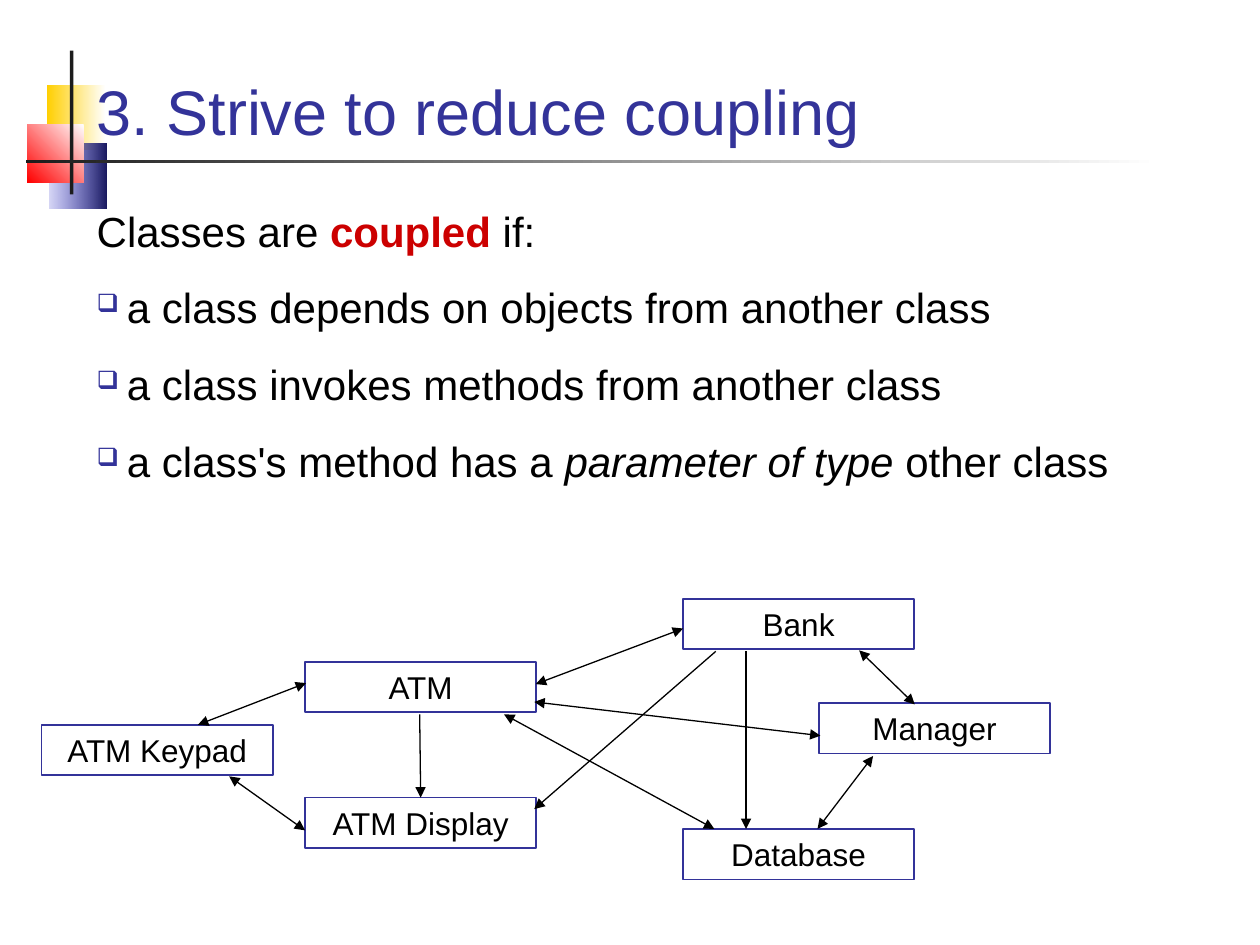
from lxml import etree
from pptx import Presentation
from pptx import util as u
from pptx.dml.color import RGBColor
from pptx.enum import shapes, text
from pptx.oxml.ns import qn

COLORS = {
    "indigo": "333399", "black": "000000", "accent": "CC0000",
    "white": "FFFFFF", "yellow": "FFCF01", "red": "FF0000",
    "navy": "17175E", "blue": "3333CC", "charcoal": "1C1C1C",
}
FONT = "Arial"


def rgb(name):
    return RGBColor.from_string(COLORS[name])


def add_run(paragraph, words, size, color="black", bold=False, italic=False):
    run = paragraph.add_run()
    run.text = words
    run.font.name, run.font.size = FONT, u.Pt(size)
    run.font.bold, run.font.italic = bold, italic
    run.font.color.rgb = rgb(color)


presentation = Presentation()
presentation.slide_width, presentation.slide_height = u.Cm(25.4), u.Cm(19.05)
slide = presentation.slides.add_slide(presentation.slide_layouts[6])

# Corner ornament: left, top, width, height, start colour, end colour, angle
ornament = [
    (0.95, 1.71, 1.18, 1.32, "white", "yellow", 180),
    (0.99, 2.89, 1.16, 1.32, "navy", "blue", 180),
    (0.55, 2.51, 1.14, 1.17, "white", "red", 225),
    (1.41, 1.02, 0.07, 2.9, "charcoal", "charcoal", None),
    (0.53, 3.22, 22.83, 0.07, "white", "charcoal", 180),
]
for left, top, width, height, start, end, angle in ornament:
    shape = slide.shapes.add_shape(
        shapes.MSO_SHAPE.RECTANGLE, u.Cm(left), u.Cm(top), u.Cm(width), u.Cm(height))
    shape.shadow.inherit = False
    shape.line.fill.background()
    if angle is None:
        shape.fill.solid()
        shape.fill.fore_color.rgb = rgb(start)
        continue
    shape.fill.gradient()
    shape.fill.gradient_angle = angle
    for stop, position, color in zip(shape.fill.gradient_stops, (0, 1), (start, end)):
        stop.position = position
        stop.color.rgb = rgb(color)
    if end == "blue":
        end_color = list(shape._element.spPr.iter(qn("a:srgbClr")))[-1]
        etree.SubElement(end_color, qn("a:alpha"), val="20000")

# Title
title = slide.shapes.add_textbox(u.Cm(1.7), u.Cm(0.71), u.Cm(22), u.Cm(2.41))
title.text_frame.word_wrap = True
title.text_frame.vertical_anchor = text.MSO_ANCHOR.BOTTOM
add_run(title.text_frame.paragraphs[0], "3. Strive to reduce coupling", 36, "indigo")

# Body: each paragraph is a list of (words, run options)
body_paragraphs = [
    [("Classes are ", {}), ("coupled", {"color": "accent", "bold": True}), (" if:", {})],
    [("a class depends on objects from another class", {})],
    [("a class invokes methods from another class", {})],
    [("a class's method has a ", {}), ("parameter of type", {"italic": True}),
     (" other class", {})],
]
body = slide.shapes.add_textbox(u.Cm(1.7), u.Cm(4.01), u.Cm(22), u.Cm(8.05))
body.text_frame.word_wrap = True
for index, runs in enumerate(body_paragraphs):
    paragraph = body.text_frame.paragraphs[0] if index == 0 else body.text_frame.add_paragraph()
    if index > 0:
        paragraph.space_before = u.Pt(15)
        properties = paragraph._p.get_or_add_pPr()
        properties.set("marL", str(u.Cm(0.61)))
        properties.set("indent", str(u.Cm(-0.61)))
        bullet_color = etree.SubElement(properties, qn("a:buClr"))
        etree.SubElement(bullet_color, qn("a:srgbClr"), val=COLORS["indigo"])
        etree.SubElement(properties, qn("a:buSzPct"), val="60000")
        etree.SubElement(properties, qn("a:buChar"), char="❑")
    for words, options in runs:
        add_run(paragraph, words, 24, **options)

# Class boxes: name, left, top
class_boxes = [
    ("Bank", 13.77, 12.07),
    ("ATM", 6.15, 13.34),
    ("Database", 13.77, 16.71),
    ("ATM Display", 6.15, 16.08),
    ("Manager", 16.51, 14.17),
    ("ATM Keypad", 0.84, 14.61),
]
for name, left, top in class_boxes:
    box = slide.shapes.add_shape(
        shapes.MSO_SHAPE.RECTANGLE, u.Cm(left), u.Cm(top), u.Cm(4.66), u.Cm(1.02))
    box.shadow.inherit = False
    box.fill.background()
    box.line.color.rgb = rgb("indigo")
    box.line.width = u.Pt(1)
    box.text_frame.vertical_anchor = text.MSO_ANCHOR.TOP
    paragraph = box.text_frame.paragraphs[0]
    paragraph.alignment = text.PP_ALIGN.CENTER
    add_run(paragraph, name, 18)

# Couplings: start x, start y, end x, end y, arrowheads
BOTH, END = ("headEnd", "tailEnd"), ("tailEnd",)
couplings = [
    (10.8, 13.79, 13.77, 12.67, BOTH),   # ATM - Bank
    (16.54, 14.83, 10.77, 14.15, BOTH),  # Manager - ATM
    (15.04, 13.13, 15.04, 16.71, END),   # Bank - Database
    (10.16, 14.4, 14.4, 16.71, BOTH),    # ATM - Database
    (8.46, 14.4, 8.48, 16.08, END),      # ATM - ATM Display
    (14.43, 13.13, 10.77, 16.31, END),   # Bank - ATM Display
    (17.6, 15.24, 16.48, 16.71, BOTH),   # Manager - Database
    (18.44, 14.2, 17.32, 13.11, BOTH),   # Manager - Bank
    (6.15, 16.74, 4.62, 15.65, BOTH),    # ATM Display - ATM Keypad
    (6.17, 13.77, 3.99, 14.61, BOTH),    # ATM - ATM Keypad
]
for start_x, start_y, end_x, end_y, arrowheads in couplings:
    connector = slide.shapes.add_connector(
        shapes.MSO_CONNECTOR.STRAIGHT,
        u.Cm(start_x), u.Cm(start_y), u.Cm(end_x), u.Cm(end_y))
    connector.line.color.rgb = rgb("black")
    connector.line.width = u.Pt(0.75)
    for arrowhead in arrowheads:
        etree.SubElement(connector.line._get_or_add_ln(), qn(f"a:{arrowhead}"), type="triangle")
    etree.SubElement(connector._element.spPr, qn("a:effectLst"))

presentation.save("out.pptx")
